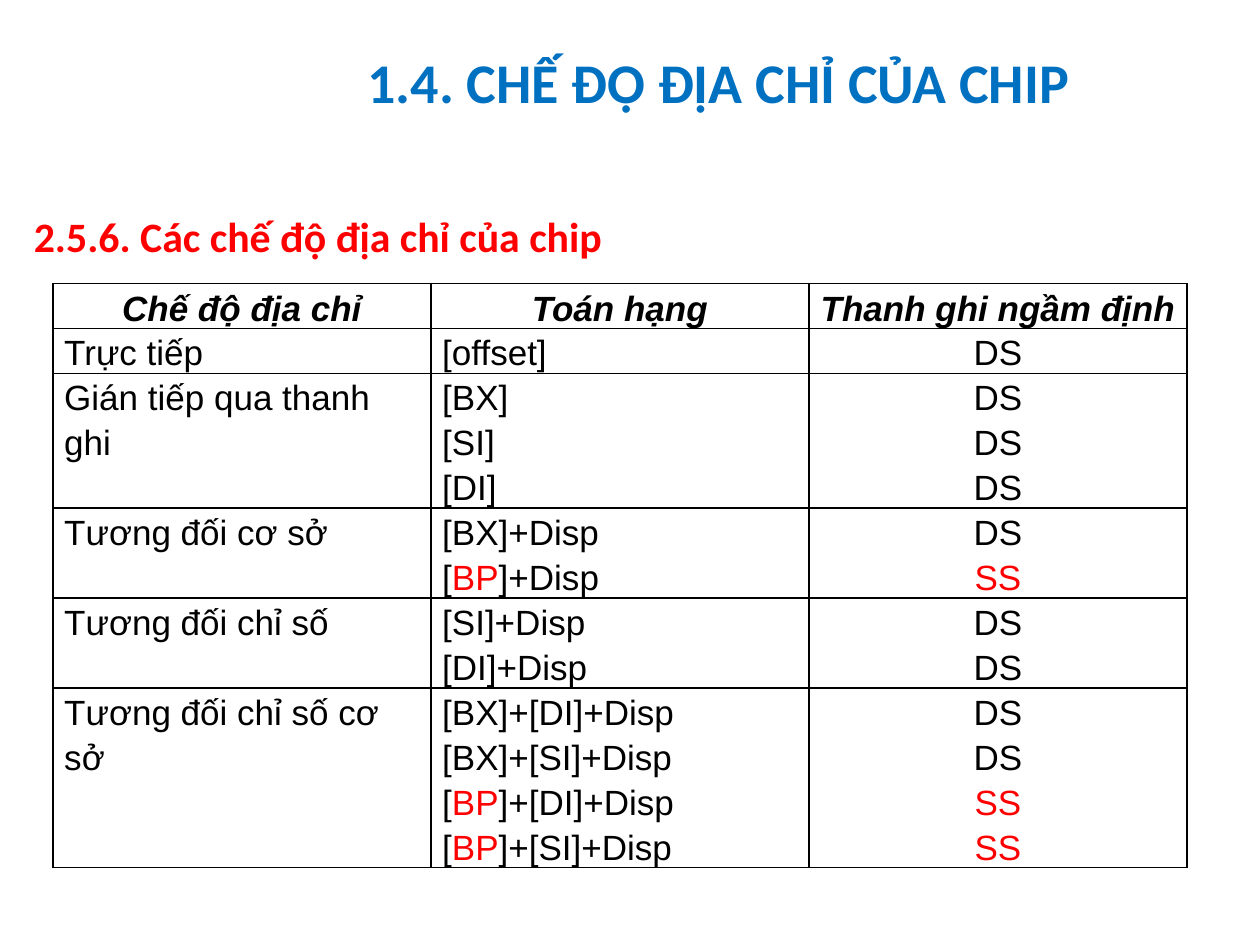
from lxml.etree import SubElement
from pptx import Presentation
from pptx.dml.color import RGBColor
from pptx.enum.text import MSO_ANCHOR, MSO_AUTO_SIZE, PP_ALIGN
from pptx.oxml.ns import qn
from pptx.util import Inches, Pt

BLACK = RGBColor(0x00, 0x00, 0x00)
RED = RGBColor(0xFF, 0x00, 0x00)
BLUE = RGBColor(0x00, 0x70, 0xC0)

# Content
TITLE = "1.4. CHẾ ĐỘ ĐỊA CHỈ CỦA CHIP"
SUBTITLE = "2.5.6. Các chế độ địa chỉ của chip"
HEADER = ("Chế độ địa chỉ", "Toán hạng", "Thanh ghi ngầm định")
# Addressing mode, then pairs of operand and default segment register
MODES = [
    ("Trực tiếp", [("[offset]", "DS")]),
    ("Gián tiếp qua thanh ghi", [("[BX]", "DS"), ("[SI]", "DS"), ("[DI]", "DS")]),
    ("Tương đối cơ sở", [("[BX]+Disp", "DS"), ("[BP]+Disp", "SS")]),
    ("Tương đối chỉ số", [("[SI]+Disp", "DS"), ("[DI]+Disp", "DS")]),
    ("Tương đối chỉ số cơ sở", [
        ("[BX]+[DI]+Disp", "DS"), ("[BX]+[SI]+Disp", "DS"),
        ("[BP]+[DI]+Disp", "SS"), ("[BP]+[SI]+Disp", "SS")]),
]
STACK_WORDS = ("BP", "SS")  # stack registers stand out in red

# Layout and formats
COL_W, LINE_H = 3, 0.32
TITLE_FONT = {"name": "Calibri", "size": Pt(32), "bold": True}
SUBTITLE_FONT = {"name": "Calibri", "size": Pt(23.9), "bold": True}
HEADER_FONT = {"name": "Arial", "size": Pt(20), "bold": True, "italic": True}
BODY_FONT = {"name": "Arial", "size": Pt(20), "bold": False, "italic": False}
CELL_MARGINS = {"margin_left": Inches(0.09), "margin_right": Inches(0.09),
                "margin_top": 0, "margin_bottom": 0}


def add_run(p, text, font, color):
    r = p.add_run()
    r.text = text
    for name, value in font.items():
        setattr(r.font, name, value)
    r.font.color.rgb = color


def fill_heading(sp, box, text, font, color, align):
    sp.left, sp.top, sp.width, sp.height = map(Inches, box)
    tf = sp.text_frame
    tf.word_wrap = True
    tf.auto_size = MSO_AUTO_SIZE.NONE
    tf.vertical_anchor = MSO_ANCHOR.MIDDLE
    p = tf.paragraphs[0]
    p.alignment = align
    add_run(p, text, font, color)


def split_stack_words(text):
    for word in STACK_WORDS:
        if word in text:
            return [part for part in text.partition(word) if part]
    return [text]


def add_borders(cell):
    tc_pr = cell._tc.get_or_add_tcPr()
    for side in ("L", "R", "T", "B"):
        ln = SubElement(tc_pr, qn(f"a:ln{side}"), w=str(Pt(1)))
        fill = SubElement(ln, qn("a:solidFill"))
        SubElement(fill, qn("a:srgbClr"), val=str(BLACK))


def fill_cell(cell, lines, font, align):
    for name, value in CELL_MARGINS.items():
        setattr(cell, name, value)
    add_borders(cell)
    cell.fill.background()
    tf = cell.text_frame
    for i, line in enumerate(lines):
        p = tf.add_paragraph() if i else tf.paragraphs[0]
        p.alignment = align
        p.line_spacing = 1.15
        for part in split_stack_words(line):
            add_run(p, part, font, RED if part in STACK_WORDS else BLACK)


prs = Presentation()
prs.slide_width, prs.slide_height = Inches(10), Inches(7.5)
s = prs.slides.add_slide(prs.slide_layouts[5])

# Table: row height follows the number of operands
tbl = s.shapes.add_table(len(MODES) + 1, len(HEADER), Inches(0.42), Inches(2.25),
                         Inches(COL_W * len(HEADER)), Inches(LINE_H)).table
tbl.first_row = tbl.horz_banding = False
for col in tbl.columns:
    col.width = Inches(COL_W)

rows = [[[text] for text in HEADER]]
rows += [[[mode], *zip(*pairs)] for mode, pairs in MODES]
for i, row in enumerate(rows):
    tbl.rows[i].height = Inches(LINE_H * len(row[1]))
    for j, lines in enumerate(row):
        centred = i == 0 or j == 2
        fill_cell(tbl.cell(i, j), lines, BODY_FONT if i else HEADER_FONT,
                  PP_ALIGN.CENTER if centred else PP_ALIGN.LEFT)

# Headings
fill_heading(s.shapes.add_textbox(0, 0, 0, 0), (0.17, 1.5, 5.08, 0.75),
             SUBTITLE, SUBTITLE_FONT, RED, PP_ALIGN.LEFT)
fill_heading(s.shapes.title, (1.58, 0.13, 8.25, 1.03),
             TITLE, TITLE_FONT, BLUE, PP_ALIGN.CENTER)

prs.save("out.pptx")
